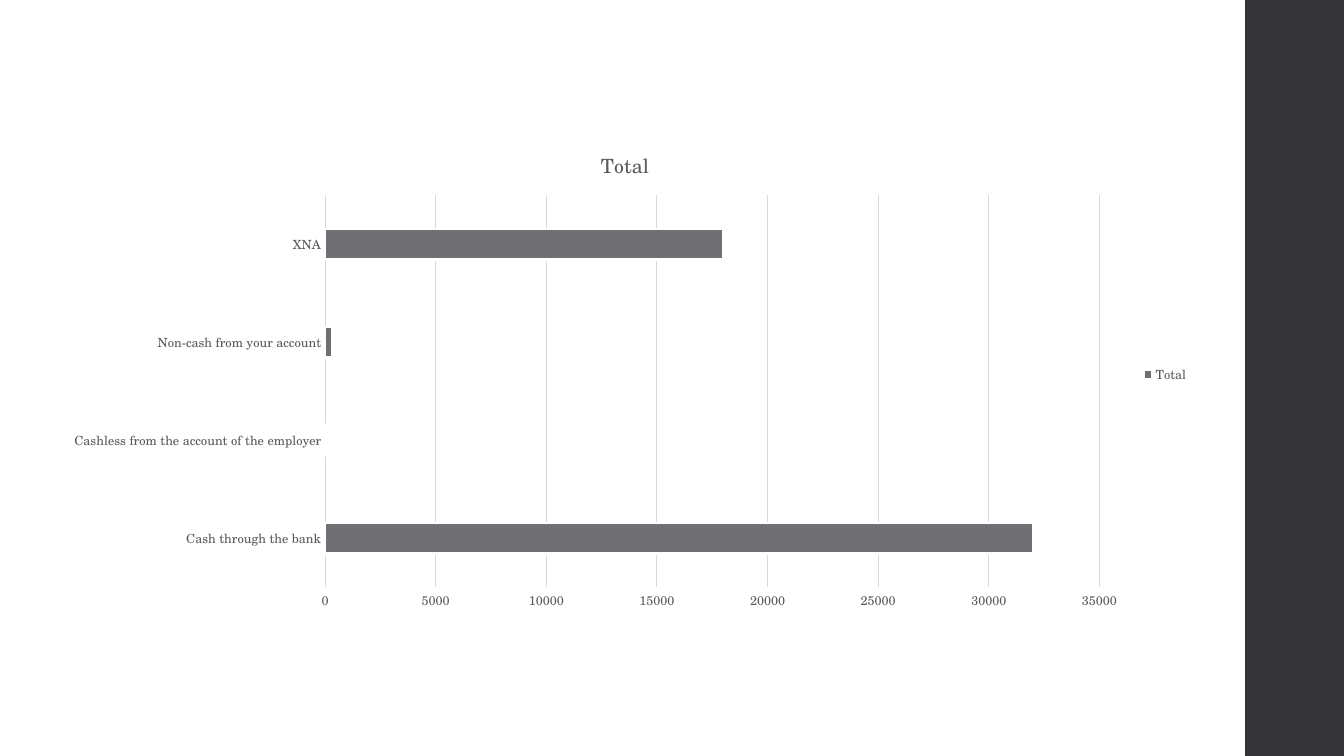
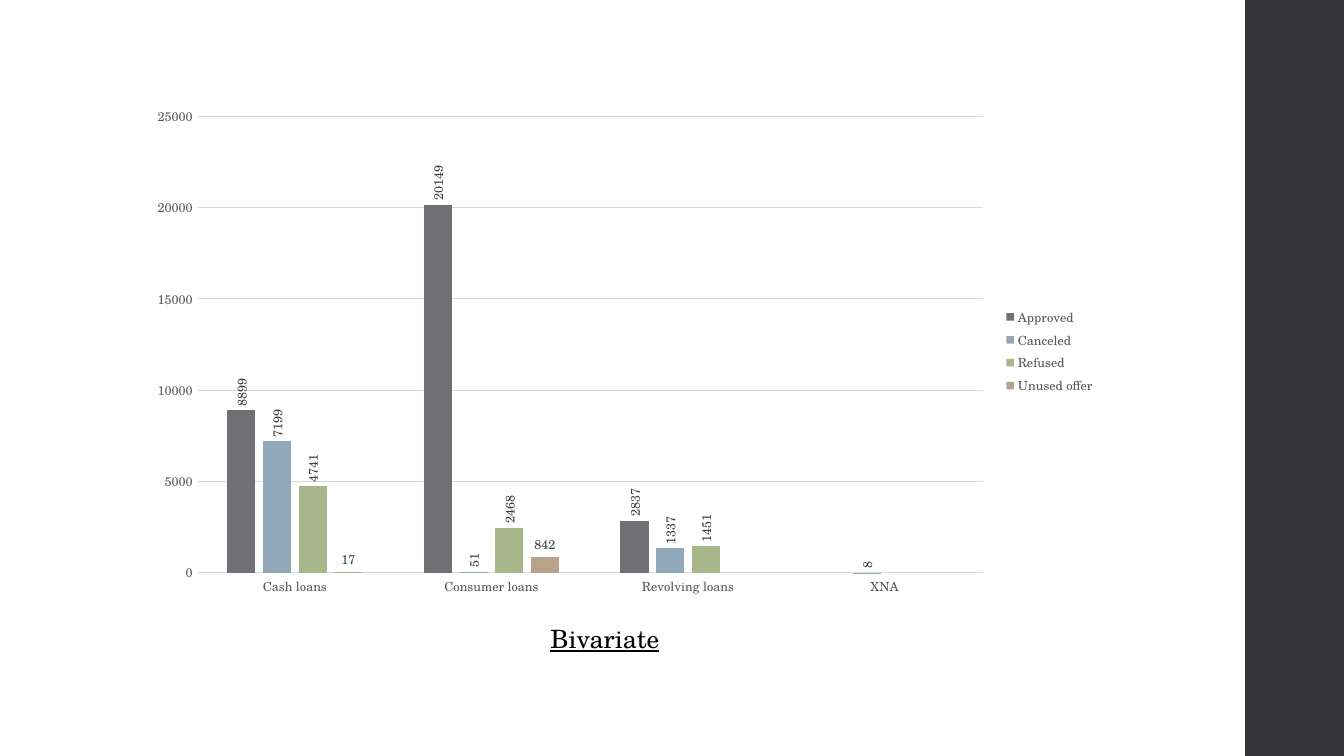
from pptx import Presentation
from pptx.chart.data import CategoryChartData
from pptx.dml.color import RGBColor
from pptx.enum.chart import XL_CHART_TYPE as ChartType
from pptx.enum.chart import XL_LABEL_POSITION as LabelPosition
from pptx.enum.chart import XL_LEGEND_POSITION as LegendPosition
from pptx.enum.chart import XL_TICK_MARK as TickMark
from pptx.enum.shapes import MSO_SHAPE as Shape
from pptx.enum.text import MSO_ANCHOR as Anchor
from pptx.enum.text import MSO_AUTO_SIZE as AutoSize
from pptx.enum.text import PP_ALIGN as Align
from pptx.util import Inches, Pt

FONT = "TeX Gyre Schola"
COLORS = {
    "band": "353537",
    "white": "FFFFFF",
    "title": "000000",
    "text": "595959",
    "label": "404040",
    "grid": "D9D9D9",
}
SERIES_COLORS = ["6F6F74", "92A9B9", "A7B789", "B9A489"]
UPRIGHT = "-5400000"
LEVEL = "0"
TITLE_ONLY = 5
BLANK = 6


def color(name):
    return RGBColor.from_string(COLORS[name])


def style_font(font, size, name):
    font.name = FONT
    font.size = Pt(size)
    font.bold = False
    font.color.rgb = color(name)


def add_page(deck, layout):
    page = deck.slides.add_slide(deck.slide_layouts[layout])
    band = page.shapes.add_shape(
        Shape.RECTANGLE, Inches(12.35), 0, Inches(1), deck.slide_height
    )
    band.shadow.inherit = False
    band.fill.solid()
    band.fill.fore_color.rgb = color("band")
    band.line.fill.background()
    return page


def style_axes(chart):
    for axis in (chart.category_axis, chart.value_axis):
        axis.major_tick_mark = TickMark.NONE
        axis.minor_tick_mark = TickMark.NONE
        style_font(axis.tick_labels.font, 9, "text")
    grid = chart.value_axis.major_gridlines.format.line
    for line in (chart.category_axis.format.line, grid):
        line.color.rgb = color("grid")
        line.width = Pt(0.75)
    chart.value_axis.format.line.fill.background()


def add_bar_chart(page, box, kind, categories, series):
    data = CategoryChartData()
    data.categories = categories
    for name, values in series:
        data.add_series(name, values)
    chart = page.shapes.add_chart(kind, *map(Inches, box), data).chart
    style_font(chart.font, 10, "title")
    chart.has_title = False
    chart.has_legend = True
    chart.legend.position = LegendPosition.RIGHT
    chart.legend.include_in_layout = False
    style_font(chart.legend.font, 9, "text")
    style_axes(chart)
    plot = chart.plots[0]
    plot.gap_width = 219
    plot.vary_by_categories = False
    for bars, fill in zip(plot.series, SERIES_COLORS):
        bars.format.fill.solid()
        bars.format.fill.fore_color.rgb = RGBColor.from_string(fill)
        bars.invert_if_negative = False
    return chart


def add_value_labels(bars, rotation):
    labels = bars.data_labels
    labels.show_value = True
    labels.position = LabelPosition.OUTSIDE_END
    style_font(labels.font, 9, "label")
    body = labels._element.xpath("c:txPr/a:bodyPr")[0]
    body.set("rot", rotation)
    body.set("vert", "horz")


def add_chart_title(chart, text):
    chart.has_title = True
    chart.chart_title.include_in_layout = False
    para = chart.chart_title.text_frame.paragraphs[0]
    para.text = text
    style_font(para.font, 14, "text")


def place_title(page, box, text):
    title = page.shapes.title
    title.left, title.top, title.width, title.height = map(Inches, box)
    frame = title.text_frame
    frame.auto_size = AutoSize.NONE
    frame.vertical_anchor = Anchor.TOP
    para = frame.paragraphs[0]
    para.text = text
    para.alignment = Align.LEFT
    style_font(para.font, 18, "title")
    para.font.underline = True


def build_totals(deck):
    page = add_page(deck, BLANK)
    categories = [
        "Cash through the bank",
        "Cashless from the account of the employer",
        "Non-cash from your account",
        "XNA",
    ]
    chart = add_bar_chart(
        page,
        (0.51, 1.28, 11.38, 4.87),
        ChartType.BAR_CLUSTERED,
        categories,
        [("Total", (32000, 0, 300, 18000))],
    )
    add_chart_title(chart, "Total")
    outline = chart.plots[0].series[0].format.line
    outline.color.rgb = color("white")
    outline.width = Pt(1.5)


def build_bivariate(deck):
    page = add_page(deck, TITLE_ONLY)
    chart = add_bar_chart(
        page,
        (1.37, 0.96, 9.59, 5.05),
        ChartType.COLUMN_CLUSTERED,
        ["Cash loans", "Consumer loans", "Revolving loans", "XNA"],
        [
            ("Approved", (8899, 20149, 2837, None)),
            ("Canceled", (7199, 51, 1337, 8)),
            ("Refused", (4741, 2468, 1451, None)),
            ("Unused offer", (17, 842, None, None)),
        ],
    )
    plot = chart.plots[0]
    plot.overlap = -27
    rotations = (UPRIGHT, UPRIGHT, UPRIGHT, LEVEL)
    for bars, rotation in zip(plot.series, rotations):
        add_value_labels(bars, rotation)
    place_title(page, (5.36, 6.13, 1.6, 0.4), "Bivariate")


def main():
    deck = Presentation()
    deck.slide_width = Inches(13.33)
    deck.slide_height = Inches(7.5)
    build_totals(deck)
    build_bivariate(deck)
    deck.save("out.pptx")


if __name__ == "__main__":
    main()
